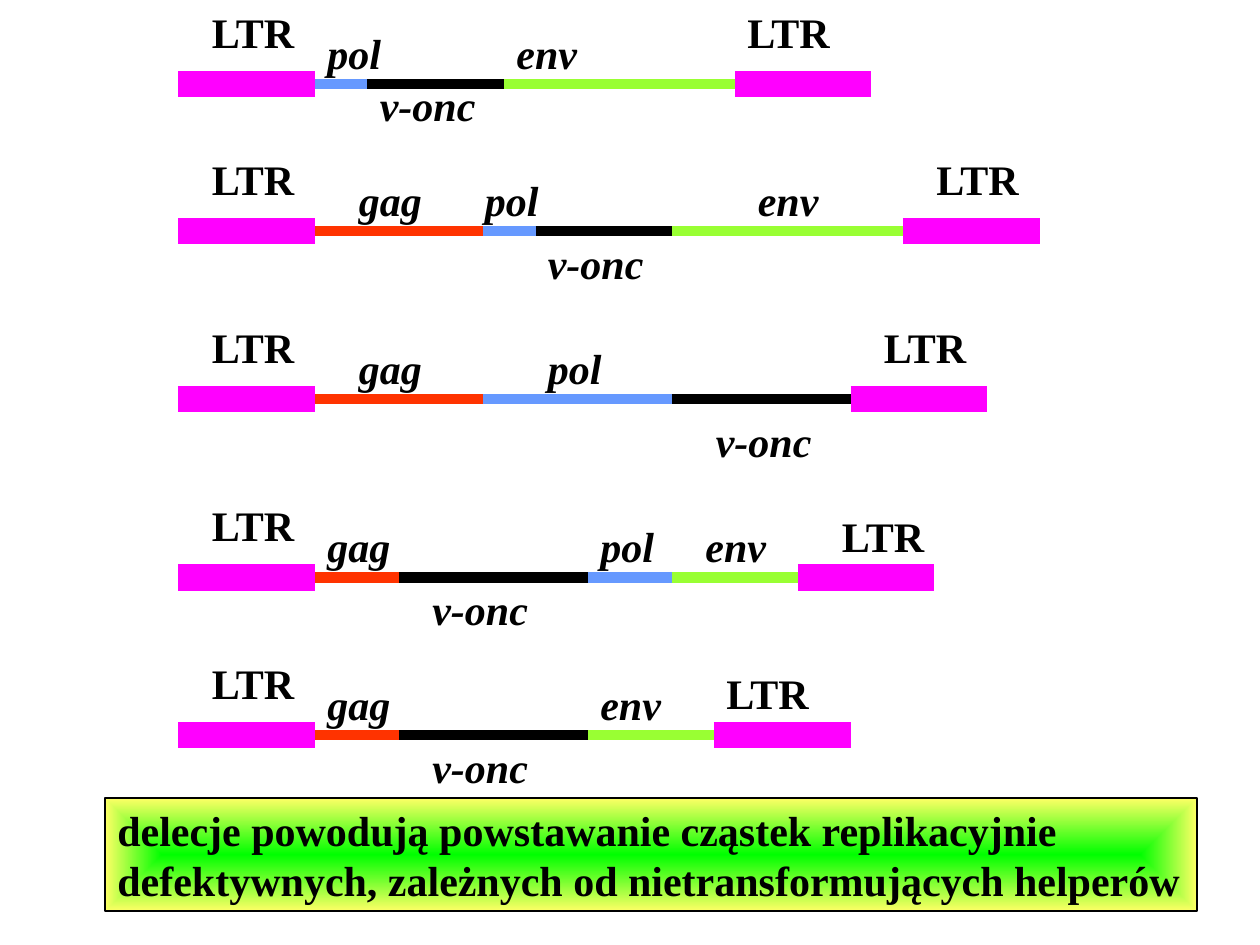
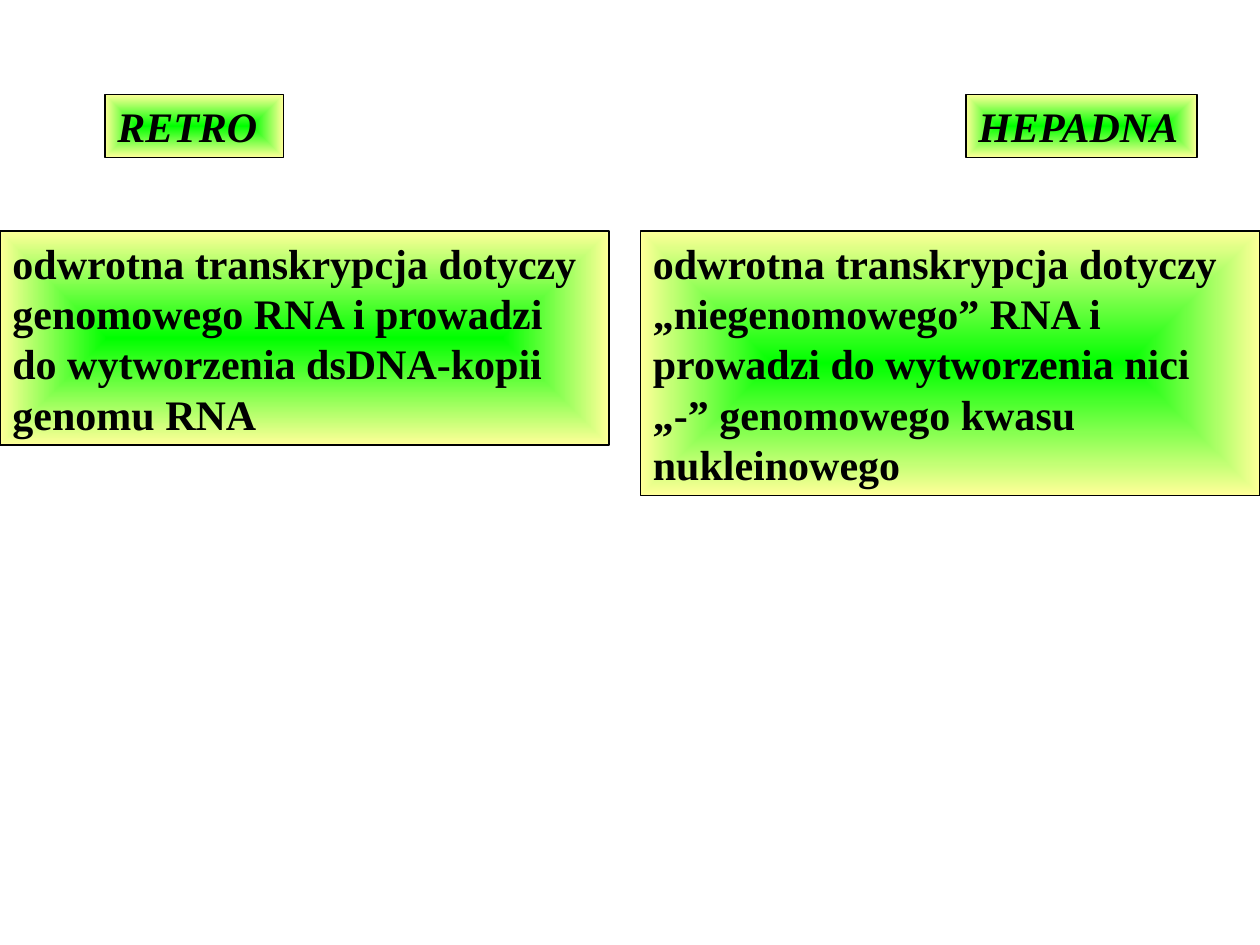
from lxml.etree import SubElement
from pptx import Presentation
from pptx.dml.color import RGBColor
from pptx.enum.shapes import MSO_CONNECTOR as Connector, MSO_SHAPE as Shape
from pptx.enum.text import MSO_ANCHOR as Anchor, MSO_AUTO_SIZE as AutoSize, PP_ALIGN as Align
from pptx.oxml import parse_xml
from pptx.oxml.ns import nsdecls, qn
from pptx.util import Inches, Pt

BLACK = RGBColor(0x00, 0x00, 0x00)
MAGENTA = RGBColor(0xFF, 0x00, 0xFF)
RED = RGBColor(0xFF, 0x33, 0x00)
BLUE = RGBColor(0x66, 0x99, 0xFF)
LIME = RGBColor(0x99, 0xFF, 0x33)
GREEN = RGBColor(0x00, 0xFF, 0x00)
YELLOW = RGBColor(0xFF, 0xFF, 0x66)
PALE_YELLOW = RGBColor(0xFF, 0xFF, 0x99)

GENE_COLORS = {"gag": RED, "pol": BLUE, "env": LIME, "v-onc": BLACK}

# Grid of 120 columns and 90 rows
COLUMNS, ROWS = 120, 90
GENOME_START, LTR_LENGTH = 17, 13

# Each genome: row, v-onc label drop, right LTR label shift and rise,
# then genes as (name, length, label shift), all in grid units
GENOMES = [
    (8, -1, 0, 8, [("pol", 5, 0), ("v-onc", 13, 0), ("env", 22, 0)]),
    (22, 0, 2, 8, [("gag", 16, 3), ("pol", 5, -1), ("v-onc", 13, 0), ("env", 22, 7)]),
    (38, 1, 2, 8, [("gag", 16, 3), ("pol", 18, 5), ("v-onc", 17, 3)]),
    (55, 0, 3, 7, [("gag", 8, 0), ("v-onc", 18, 2), ("pol", 8, 0), ("env", 12, 2)]),
    (70, 0, 0, 7, [("gag", 8, 0), ("v-onc", 18, 2), ("env", 12, 0)]),
]

# Each panel: text, column, row, width, height, italic
PANELS = [
    ("RETRO", 10, 9, 17, 6, True),
    ("HEPADNA", 92, 9, 22, 6, True),
    ("odwrotna transkrypcja dotyczy genomowego RNA i prowadzi "
     "do wytworzenia dsDNA-kopii genomu RNA", 0, 22, 58, 20.4, False),
    ("odwrotna transkrypcja dotyczy „niegenomowego” RNA i prowadzi "
     "do wytworzenia nici „-” genomowego kwasu nukleinowego", 61, 22, 59, 25.2, False),
]


class Deck:
    font_name = "Times New Roman"
    font_size = Pt(24)

    def __init__(self):
        self.presentation = Presentation()
        self.presentation.slide_width = Inches(10)
        self.presentation.slide_height = Inches(7.5)
        self.slide = None

    def add_slide(self):
        self.slide = self.presentation.slides.add_slide(self.presentation.slide_layouts[6])

    def x(self, columns):
        return round(self.presentation.slide_width * columns / COLUMNS)

    def y(self, rows):
        return round(self.presentation.slide_height * rows / ROWS)

    def box(self, column, row, width, height):
        return self.x(column), self.y(row), self.x(width), self.y(height)

    def add_text(self, shape, text, italic):
        frame = shape.text_frame
        frame.word_wrap = True
        frame.auto_size = AutoSize.SHAPE_TO_FIT_TEXT
        frame.vertical_anchor = Anchor.TOP
        paragraph = frame.paragraphs[0]
        paragraph.alignment = Align.LEFT
        run = paragraph.add_run()
        run.text = text
        run.font.name = self.font_name
        run.font.size = self.font_size
        run.font.bold = True
        run.font.italic = italic
        run.font.color.rgb = BLACK

    def label(self, text, column, row, width, italic=True):
        shape = self.slide.shapes.add_textbox(*self.box(column, row, width, 6))
        self.add_text(shape, text, italic)

    def bar(self, start, end, row, color, weight):
        line = self.slide.shapes.add_connector(
            Connector.STRAIGHT, self.x(start), self.y(row), self.x(end), self.y(row))
        line.line.color.rgb = color
        line.line.width = Pt(weight)
        SubElement(line._element.spPr, qn("a:effectLst"))

    def panel(self, text, column, row, width, height, italic=False, edge=PALE_YELLOW):
        shape = self.slide.shapes.add_shape(Shape.RECTANGLE, *self.box(column, row, width, height))
        shape.shadow.inherit = False
        shape.line.color.rgb = BLACK
        shape.line.width = Pt(1)
        # Rectangular gradient running from the centre to the edge
        gradient = parse_xml(
            f'<a:gradFill {nsdecls("a")} rotWithShape="0"><a:gsLst>'
            f'<a:gs pos="0"><a:srgbClr val="{GREEN}"/></a:gs>'
            f'<a:gs pos="100000"><a:srgbClr val="{edge}"/></a:gs></a:gsLst>'
            '<a:path path="rect"><a:fillToRect l="50000" t="50000" r="50000" b="50000"/></a:path>'
            '</a:gradFill>')
        shape._element.spPr.find(qn("a:prstGeom")).addnext(gradient)
        self.add_text(shape, text, italic)

    def ltr(self, start, row, label_shift, label_rise):
        self.bar(start, start + LTR_LENGTH, row, MAGENTA, 15)
        self.label("LTR", start + label_shift, row - label_rise, 13, italic=False)

    def genome(self, row, onc_drop, ltr_shift, ltr_rise, genes):
        self.ltr(GENOME_START, row, 2, 8)
        start = GENOME_START + LTR_LENGTH
        labels = []
        for name, length, shift in genes:
            self.bar(start, start + length, row, GENE_COLORS[name], 6)
            is_onc = name == "v-onc"
            labels.append((name, start + shift, row + (onc_drop if is_onc else -6),
                           13 if is_onc else 9))
            start += length
        self.ltr(start, row, ltr_shift, ltr_rise)
        for label in labels:
            self.label(*label)


def main():
    deck = Deck()

    # Slide 1: genomes with deletions
    deck.add_slide()
    for genome in GENOMES:
        deck.genome(*genome)
    deck.panel("delecje powodują powstawanie cząstek replikacyjnie defektywnych, "
               "zależnych od nietransformujących helperów", 10, 76, 104, 10.8, edge=YELLOW)

    # Slide 2: two kinds of reverse transcription
    deck.add_slide()
    for panel in PANELS:
        deck.panel(*panel)

    deck.presentation.save("out.pptx")


if __name__ == "__main__":
    main()
